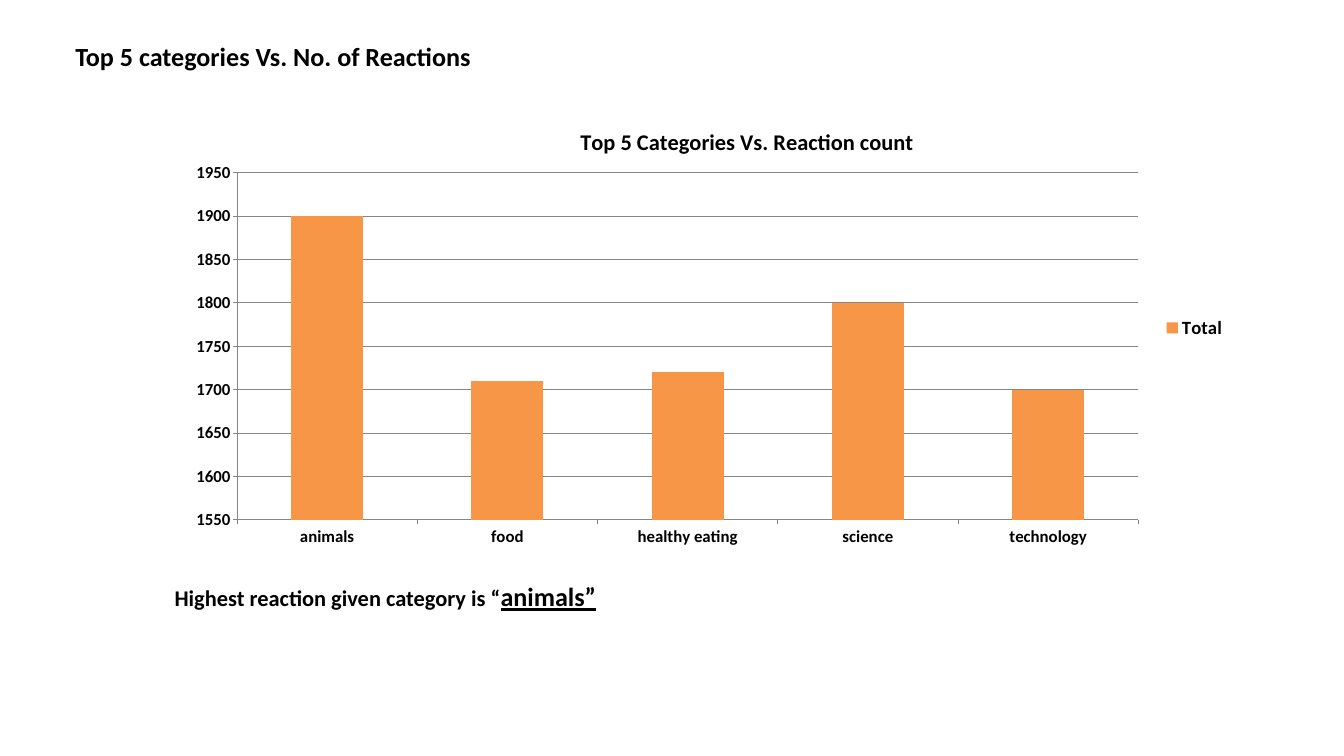
from pptx import Presentation
from pptx.chart.data import CategoryChartData
from pptx.dml.color import RGBColor
from pptx.enum.chart import XL_CHART_TYPE as ChartType, XL_LEGEND_POSITION as LegendPos
from pptx.enum.chart import XL_TICK_MARK as Tick
from pptx.enum.text import MSO_ANCHOR as Anchor, MSO_AUTO_SIZE as AutoSize, PP_ALIGN as Align
from pptx.oxml import parse_xml
from pptx.oxml.ns import nsdecls, qn
from pptx.util import Pt

COLORS = {"text": "000000", "bar": "F79646", "axis": "868686"}
REACTIONS = {"animals": 1900, "food": 1710, "healthy eating": 1720,
             "science": 1800, "technology": 1700}


def set_layout(parent, index, target="", **fractions):
    """Place a chart part by fractions of the chart's size."""
    for old in parent.findall(qn("c:layout")):
        parent.remove(old)
    modes = '<c:xMode val="edge"/><c:yMode val="edge"/>'
    sizes = "".join(f'<c:{key} val="{value}"/>' for key, value in fractions.items())
    parent.insert(index, parse_xml(
        f'<c:layout {nsdecls("c")}><c:manualLayout>{target}{modes}{sizes}'
        '</c:manualLayout></c:layout>'))


class SlideBuilder:
    font_name = "Calibri"

    def __init__(self, slide):
        self.slide = slide

    def style(self, font, size, underline=None):
        font.name, font.size, font.bold = self.font_name, Pt(size), True
        font.underline = underline
        font.color.rgb = RGBColor.from_string(COLORS["text"])

    def add_runs(self, shape, runs):
        """Fill a one-paragraph shape with (text, size, underline) runs."""
        frame = shape.text_frame
        frame.word_wrap = True
        frame.auto_size = AutoSize.SHAPE_TO_FIT_TEXT
        frame.vertical_anchor = Anchor.TOP
        paragraph = frame.paragraphs[0]
        paragraph.alignment = Align.LEFT
        for text, size, underline in runs:
            run = paragraph.add_run()
            run.text = text
            self.style(run.font, size, underline)

    def title(self, text, left, top, width, height):
        heading = self.slide.shapes.title
        heading.left, heading.top = Pt(left), Pt(top)
        heading.width, heading.height = Pt(width), Pt(height)
        self.add_runs(heading, [(text, 28, None)])

    def text(self, runs, *box):
        self.add_runs(self.slide.shapes.add_textbox(*map(Pt, box)), runs)

    def column_chart(self, title, series_name, values, *box):
        data = CategoryChartData()
        data.categories = list(values)
        data.add_series(series_name, list(values.values()))
        chart = self.slide.shapes.add_chart(
            ChartType.COLUMN_CLUSTERED, *map(Pt, box), data).chart
        self.style(chart.font, 10)

        chart.has_title = True
        heading = chart.chart_title
        run = heading.text_frame.paragraphs[0].add_run()
        run.text = title
        self.style(run.font, 24)
        set_layout(heading._element, 1, x=0.38, y=0.05)
        set_layout(chart._chartSpace.chart.plotArea, 0,
                   '<c:layoutTarget val="inner"/>', x=0.06, y=0.16, w=0.85, h=0.76)

        chart.has_legend = True
        chart.legend.position = LegendPos.RIGHT
        chart.legend.include_in_layout = False
        self.style(chart.legend.font, 20)

        plot = chart.plots[0]
        plot.gap_width, plot.vary_by_categories = 150, False
        bars = plot.series[0].format.fill
        bars.solid()
        bars.fore_color.rgb = RGBColor.from_string(COLORS["bar"])

        value_axis = chart.value_axis
        value_axis.minimum_scale, value_axis.maximum_scale = 1550, 1950
        value_axis.major_unit = 50
        value_axis.has_major_gridlines = True
        for axis in (chart.category_axis, value_axis):
            axis.major_tick_mark = Tick.OUTSIDE
            self.style(axis.tick_labels.font, 18)
        for line in (chart.category_axis.format.line, value_axis.format.line,
                     value_axis.major_gridlines.format.line):
            line.width = Pt(0.75)
            line.color.rgb = RGBColor.from_string(COLORS["axis"])


def main():
    deck = Presentation()
    deck.slide_width, deck.slide_height = Pt(1440), Pt(810)
    builder = SlideBuilder(deck.slides.add_slide(deck.slide_layouts.get_by_name("Title Only")))
    builder.column_chart("Top 5 Categories Vs. Reaction count", "Total", REACTIONS,
                         185.76, 106.56, 1136.16, 489.6)
    builder.title("Top 5 categories Vs. No. of Reactions", 73.44, 39.6, 511.92, 41.04)
    builder.text([("Highest reaction given category is “", 24, None), ("animals”", 28, True)],
                 180, 618.48, 1153.44, 41.04)
    deck.save("out.pptx")


if __name__ == "__main__":
    main()
